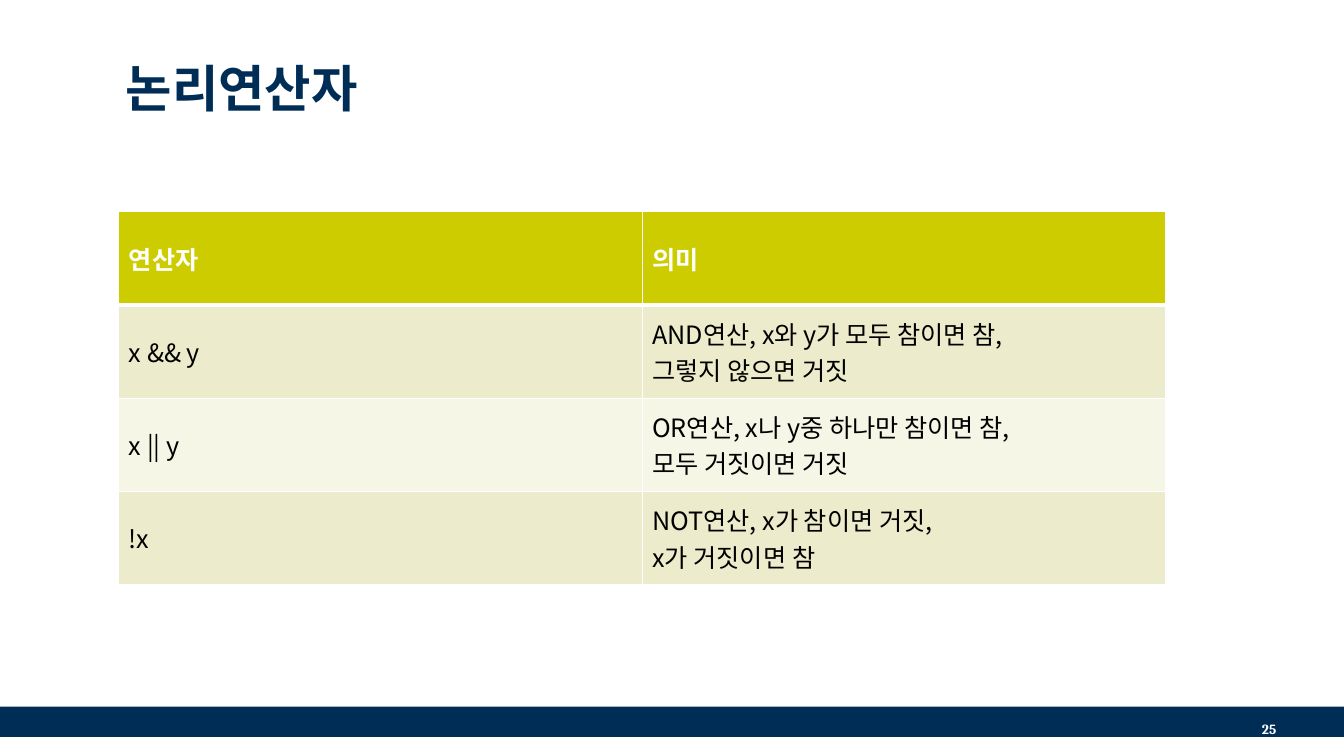
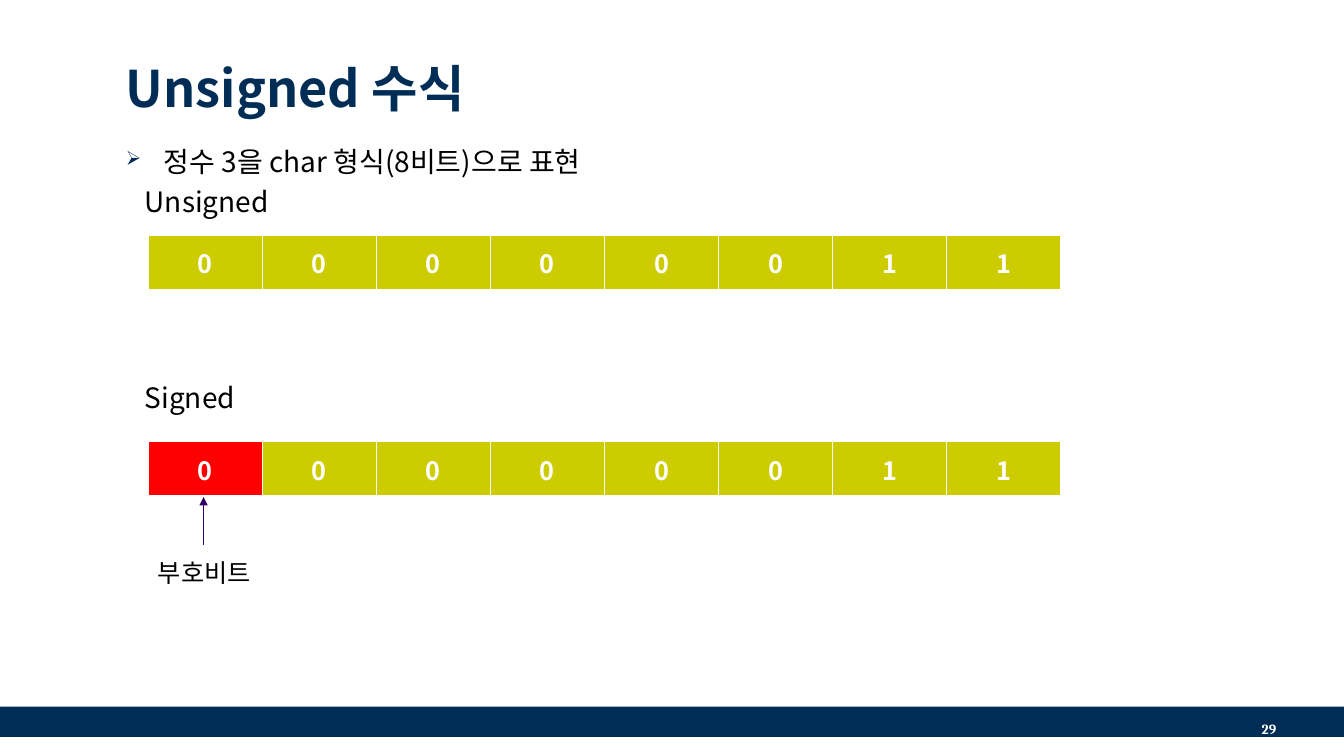
from lxml.etree import SubElement
from pptx import Presentation
from pptx.dml.color import RGBColor
from pptx.enum.shapes import MSO_CONNECTOR, MSO_SHAPE
from pptx.enum.text import MSO_ANCHOR as ANCHOR, PP_ALIGN as ALIGN
from pptx.oxml.ns import qn
from pptx.util import Pt

COLORS = {
    "navy": "002D56", "white": "FFFFFF", "black": "000000", "olive": "CCCC00",
    "band": "ECECCC", "pale": "F6F6E7", "red": "FF0000", "purple": "330066",
}
FONT = "Noto Sans CJK KR"
WIDTH, HEIGHT = 960, 540

OPERATORS = [
    ("연산자", "의미"),
    ("x && y", "AND연산, x와 y가 모두 참이면 참,\n그렇지 않으면 거짓"),
    ("x || y", "OR연산, x나 y중 하나만 참이면 참,\n모두 거짓이면 거짓"),
    ("!x", "NOT연산, x가 참이면 거짓,\nx가 거짓이면 참"),
]
ROW_FILLS = ["olive", "band", "pale", "band"]
BODY_LINES = [
    ("정수 3을 char 형식(8비트)으로 표현", 27, 0),
    ("Unsigned", 13.5, 5),
    ("Signed", 13.5, 116),
]
BITS = "00000011"
BIT_FILLS = ["olive"] * len(BITS)
BIT_TABLES = [(168, BIT_FILLS), (315.5, ["red"] + BIT_FILLS[1:])]
BIT_LEFT, BIT_WIDTH, BIT_HEIGHT = 105.8, 81.5, 39.5
SIGN_LABEL = "부호비트"


def rgb(name):
    return RGBColor.from_string(COLORS[name])


def write(paragraph, text, size=18, font=FONT, color="black", bold=False, align=ALIGN.LEFT):
    paragraph.alignment = align
    run = paragraph.add_run()
    run.text = text
    run.font.size = Pt(size)
    run.font.bold = bold
    run.font.color.rgb = rgb(color)
    run.font.name = font
    SubElement(run.font._element, qn("a:ea"), typeface=font)


def add_box(slide, left, top, width, height, anchor=ANCHOR.TOP):
    box = slide.shapes.add_textbox(Pt(left), Pt(top), Pt(width), Pt(height))
    frame = box.text_frame
    frame.word_wrap = True
    frame.vertical_anchor = anchor
    return frame


def add_slide(title, number):
    slide = presentation.slides.add_slide(presentation.slide_layouts[6])
    band = slide.shapes.add_shape(MSO_SHAPE.RECTANGLE, 0, Pt(504.7), Pt(WIDTH), Pt(21.6))
    band.shadow.inherit = False
    band.fill.solid()
    band.fill.fore_color.rgb = rgb("navy")
    band.line.fill.background()
    heading = add_box(slide, 82.8, 9.4, 750.2, 77.8, ANCHOR.BOTTOM)
    write(heading.paragraphs[0], title, size=36, color="navy", bold=True)
    write(add_box(slide, 868.3, 511.2, 50.4, 20.2).paragraphs[0], str(number),
          size=10, font="Cambria", color="white", bold=True, align=ALIGN.RIGHT)
    return slide


def fill_cell(cell, text, fill, bottom=1, **text_format):
    properties = cell._tc.get_or_add_tcPr()
    for side, width in (("L", 1), ("R", 1), ("B", bottom)):
        line = SubElement(properties, qn("a:ln" + side), w=str(Pt(width)))
        solid = SubElement(line, qn("a:solidFill"))
        SubElement(solid, qn("a:srgbClr"), val=COLORS["white"])
    cell.fill.solid()
    cell.fill.fore_color.rgb = rgb(fill)
    cell.vertical_anchor = ANCHOR.MIDDLE
    frame = cell.text_frame
    for index, text_line in enumerate(text.split("\n")):
        paragraph = frame.add_paragraph() if index else frame.paragraphs[0]
        write(paragraph, text_line, **text_format)


def add_table(slide, rows, columns, left, top, column_width, row_height):
    table = slide.shapes.add_table(rows, columns, Pt(left), Pt(top),
                                   Pt(column_width * columns), Pt(row_height * rows)).table
    for column in table.columns:
        column.width = Pt(column_width)
    for row in table.rows:
        row.height = Pt(row_height)
    return table


def indent(paragraph, left, bullet=None):
    properties = paragraph._p.get_or_add_pPr()
    properties.set("marL", str(Pt(left)))
    if bullet:
        properties.set("indent", str(-Pt(left)))
        color = SubElement(properties, qn("a:buClr"))
        SubElement(color, qn("a:srgbClr"), val=COLORS["navy"])
        SubElement(properties, qn("a:buSzPct"), val="70000")
        SubElement(properties, qn("a:buChar"), char=bullet)


def add_arrow(slide, x, start, end):
    arrow = slide.shapes.add_connector(MSO_CONNECTOR.STRAIGHT, Pt(x), Pt(start), Pt(x), Pt(end))
    arrow.line.color.rgb = rgb("purple")
    arrow.line.width = Pt(0.75)
    SubElement(arrow.line._get_or_add_ln(), qn("a:tailEnd"), type="triangle")
    SubElement(arrow._element.spPr, qn("a:effectLst"))


def build_operators():
    slide = add_slide("논리연산자", 25)
    table = add_table(slide, len(OPERATORS), 2, 84.8, 151.2, 373.9, 66.6)
    for row, (texts, fill) in enumerate(zip(OPERATORS, ROW_FILLS)):
        header = row == 0
        for column, text in enumerate(texts):
            fill_cell(table.cell(row, column), text, fill, bottom=3 if header else 1,
                      color="white" if header else "black", bold=header)


def build_unsigned():
    slide = add_slide("Unsigned 수식", 29)
    body = add_box(slide, 82.8, 100.1, 829.4, 380.2)
    body.margin_top = Pt(3)
    for index, (text, left, space) in enumerate(BODY_LINES):
        paragraph = body.add_paragraph() if index else body.paragraphs[0]
        paragraph.space_before = Pt(space)
        indent(paragraph, left, bullet=None if index else "➢")
        write(paragraph, text, size=20)
    for top, fills in BIT_TABLES:
        table = add_table(slide, 1, len(BITS), BIT_LEFT, top, BIT_WIDTH, BIT_HEIGHT)
        for column, (bit, fill) in enumerate(zip(BITS, fills)):
            fill_cell(table.cell(0, column), bit, fill, bottom=3,
                      color="white", bold=True, align=ALIGN.CENTER)
    add_arrow(slide, 145.4, 389, 355)
    write(add_box(slide, BIT_LEFT, 394.6, 96.5, 28.8).paragraphs[0], SIGN_LABEL)


presentation = Presentation()
presentation.slide_width, presentation.slide_height = Pt(WIDTH), Pt(HEIGHT)
build_operators()
build_unsigned()
presentation.save("out.pptx")
